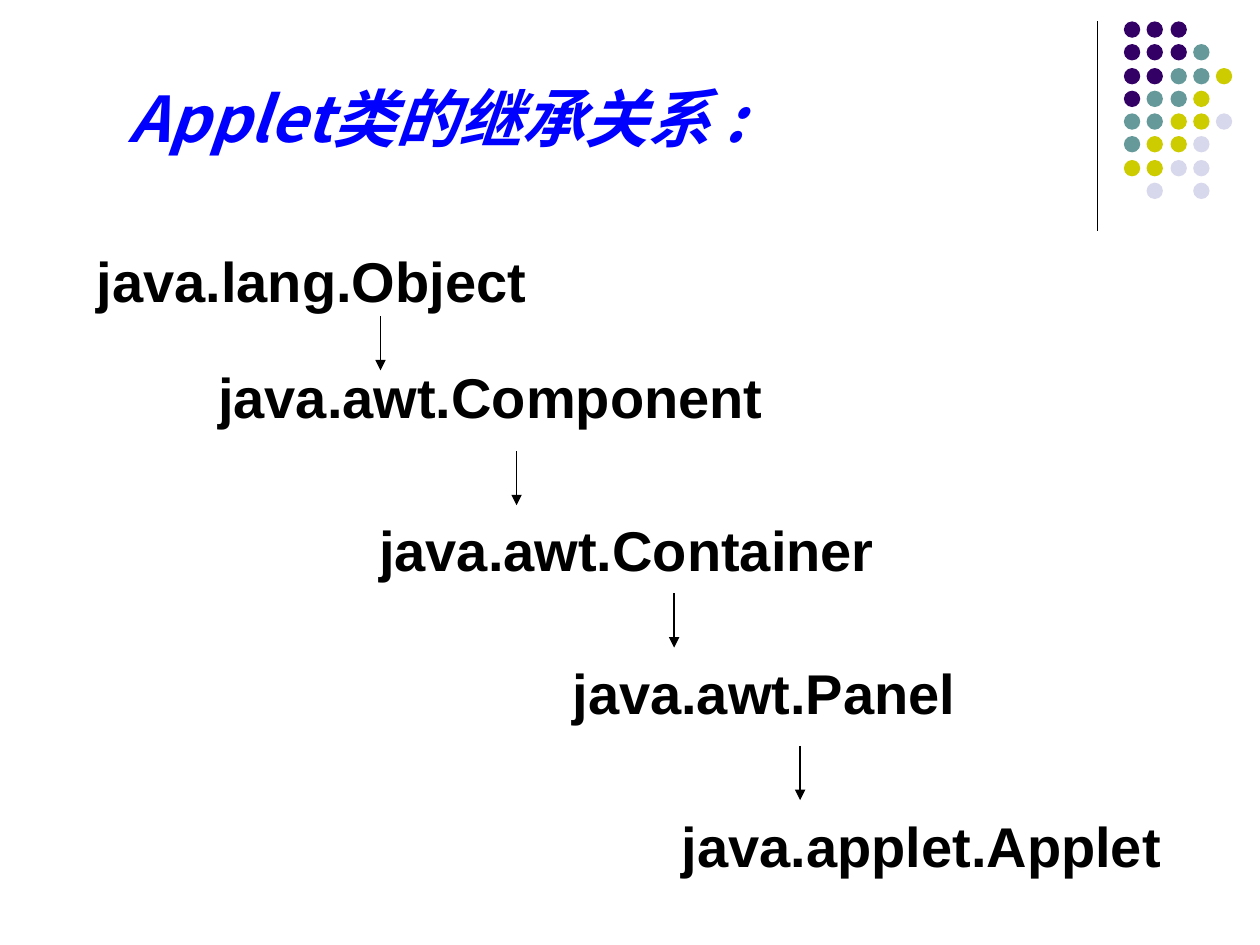
from dataclasses import dataclass

import pptx
import pptx.dml.color
import pptx.enum.shapes
import pptx.enum.text
import pptx.util
from lxml import etree
from pptx.oxml.ns import qn

EMU_PER_PX = 9144  # 100 px to the inch
COLORS = {
    "ink": "000000",
    "title": "0000FF",
    "P": "330066",
    "T": "669999",
    "Y": "CCCC00",
    "L": "D8D8EC",
}
# One letter per dot, a space where the grid is empty
DOT_ROWS = ["PPP", "PPPT", "PPTTY", "PTTY", "TTYYL", "TYYL", "YYLL", " L L"]
DOT_LEFT, DOT_TOP, DOT_SIZE, DOT_PITCH = 892, 17, 13, 18.3
CLASS_WIDTH, CLASS_HEIGHT = 425, 57
ARROW_LENGTH = 43


@dataclass
class JavaClass:
    name: str
    left: int
    top: int


@dataclass
class Arrow:
    x: int
    top: int


CLASSES = [
    JavaClass("java.lang.Object", 35, 194),
    JavaClass("java.awt.Component", 177, 286),
    JavaClass("java.awt.Container", 285, 407),
    JavaClass("java.awt.Panel", 394, 521),
    JavaClass("java.applet.Applet", 519, 642),
]
ARROWS = [Arrow(302, 251), Arrow(410, 358), Arrow(535, 471), Arrow(635, 592)]
CLASS_FONT = {"name": "Arial", "size": pptx.util.Pt(32), "bold": True}
TITLE_FONT = {"name": "Noto Sans CJK JP", "size": pptx.util.Pt(36),
              "bold": True, "italic": True}


def px(length: float) -> pptx.util.Emu:
    return pptx.util.Emu(round(length) * EMU_PER_PX)


def rgb(key: str) -> pptx.dml.color.RGBColor:
    return pptx.dml.color.RGBColor.from_string(COLORS[key])


def write_text(frame, text: str, font: dict, color: str, align) -> None:
    frame.auto_size = pptx.enum.text.MSO_AUTO_SIZE.NONE
    frame.vertical_anchor = pptx.enum.text.MSO_ANCHOR.MIDDLE
    paragraph = frame.paragraphs[0]
    paragraph.alignment = align
    run = paragraph.add_run()
    run.text = text
    for attribute, value in font.items():
        setattr(run.font, attribute, value)
    run.font.color.rgb = rgb(color)
    # East Asian characters take the same typeface
    east_asian = etree.SubElement(run.font._element, qn("a:ea"))
    east_asian.set("typeface", font["name"])


def draw_line(slide, x: int, top: int, bottom: int, width: float,
              arrowhead: bool = False) -> None:
    line = slide.shapes.add_connector(
        pptx.enum.shapes.MSO_CONNECTOR.STRAIGHT, px(x), px(top), px(x), px(bottom))
    line.line.width = pptx.util.Pt(width)
    line.line.color.rgb = rgb("ink")
    if arrowhead:
        etree.SubElement(line.line._get_or_add_ln(), qn("a:tailEnd")).set("type", "triangle")
    etree.SubElement(line._element.spPr, qn("a:effectLst"))


def draw_dots(slide) -> None:
    dots = slide.shapes.add_group_shape()
    for row, letters in enumerate(DOT_ROWS):
        for column, letter in enumerate(letters):
            if letter == " ":
                continue
            dot = dots.shapes.add_shape(
                pptx.enum.shapes.MSO_SHAPE.OVAL,
                px(DOT_LEFT + column * DOT_PITCH), px(DOT_TOP + row * DOT_PITCH),
                px(DOT_SIZE), px(DOT_SIZE))
            dot.shadow.inherit = False
            dot.fill.solid()
            dot.fill.fore_color.rgb = rgb(letter)
            dot.line.fill.background()


def draw_class(slide, java_class: JavaClass) -> None:
    label = slide.shapes.add_textbox(
        px(java_class.left), px(java_class.top), px(CLASS_WIDTH), px(CLASS_HEIGHT))
    label.text_frame.word_wrap = False
    write_text(label.text_frame, java_class.name, CLASS_FONT, "ink",
               pptx.enum.text.PP_ALIGN.CENTER)


def main() -> None:
    deck = pptx.Presentation()
    deck.slide_width, deck.slide_height = px(1000), px(750)
    slide = deck.slides.add_slide(deck.slide_layouts.get_by_name("Title Only"))

    # Corner decoration
    draw_line(slide, 871, 17, 183, 0.75)
    draw_dots(slide)

    # Title
    title = slide.shapes.title
    title.left, title.top, title.width, title.height = px(92), px(58), px(764), px(70)
    write_text(title.text_frame, "Applet类的继承关系 :", TITLE_FONT, "title",
               pptx.enum.text.PP_ALIGN.LEFT)

    # Inheritance chain
    for java_class in CLASSES:
        draw_class(slide, java_class)
    for arrow in ARROWS:
        draw_line(slide, arrow.x, arrow.top, arrow.top + ARROW_LENGTH, 1, arrowhead=True)

    deck.save("out.pptx")


if __name__ == "__main__":
    main()
